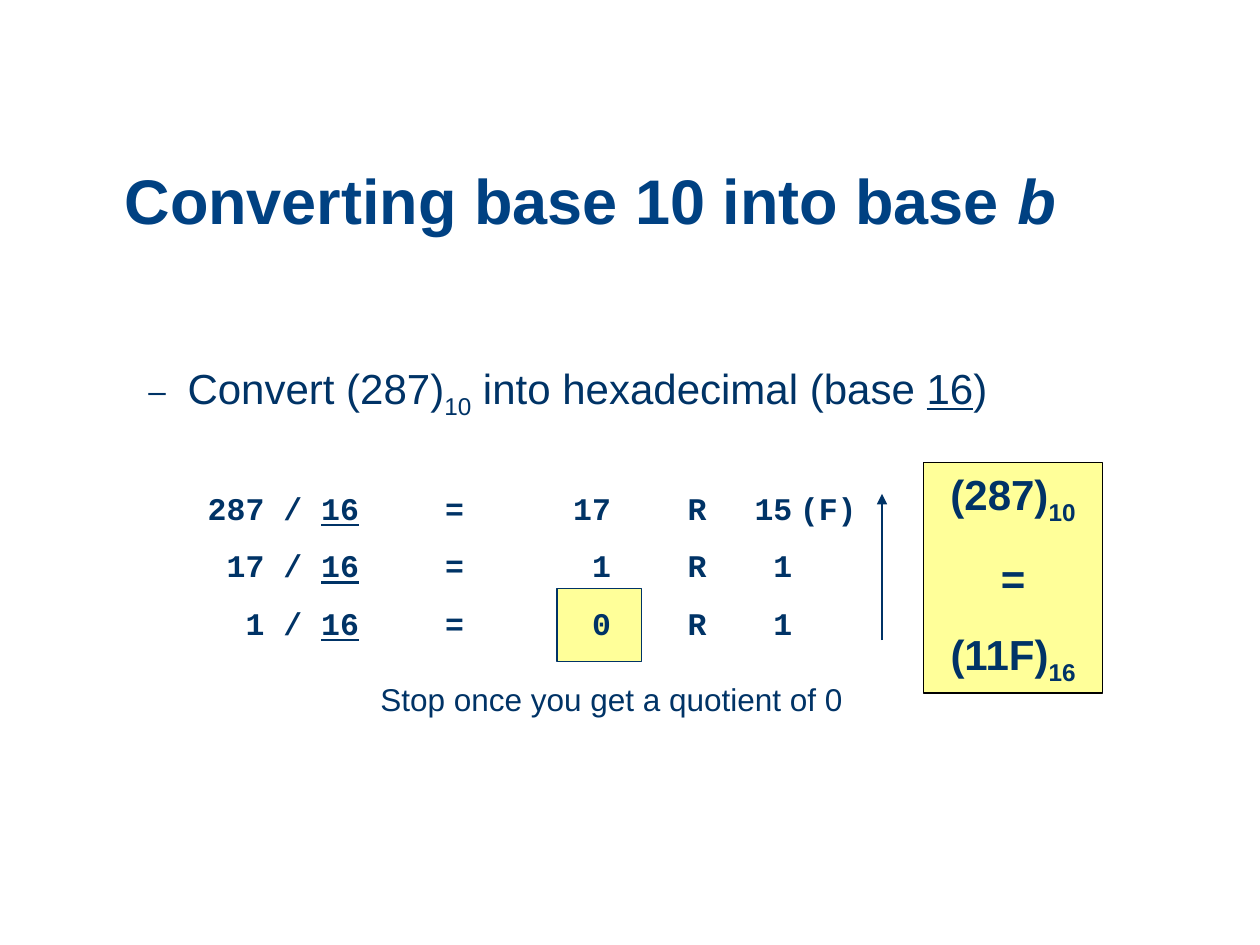
from lxml.etree import SubElement
from pptx import Presentation
from pptx.dml.color import RGBColor
from pptx.enum.shapes import MSO_CONNECTOR, MSO_SHAPE
from pptx.enum.text import MSO_ANCHOR, PP_ALIGN
from pptx.oxml.ns import qn
from pptx.util import Inches, Pt

NAVY = RGBColor(0x00, 0x33, 0x66)
TITLE_BLUE = RGBColor(0x00, 0x41, 0x82)
YELLOW = RGBColor(0xFF, 0xFF, 0x99)
BLACK = RGBColor(0x00, 0x00, 0x00)

PLAIN, ITALIC, UNDERLINE, SUBSCRIPT = "plain", "italic", "underline", "subscript"
DIVISION_TABS = [(1.5, "r"), (2.26, "ctr"), (3.5, "r"), (4.26, "r"), (4.94, "r"), (5, "l")]
DIVISIONS = [("287", "17", "15\t(F)"), ("17", "1", "1"), ("1", "0", "1")]


def add_spans(para, spans, size, color=NAVY, font="Arial", bold=False):
    """Add (text, style) spans that share one base format."""
    for text, style in spans:
        span = para.add_run()
        span.text = text
        span.font.name = font
        span.font.size = Pt(size)
        span.font.color.rgb = color
        span.font.bold = bold
        if style == ITALIC:
            span.font.italic = True
        elif style == UNDERLINE:
            span.font.underline = True
        elif style == SUBSCRIPT:
            span.font._element.set("baseline", "-25000")


def fill_text(frame, lines, space_before=0, align=PP_ALIGN.LEFT, **text_format):
    """Write one paragraph for each list of spans and return the paragraphs."""
    frame.word_wrap = True
    for index, spans in enumerate(lines):
        para = frame.add_paragraph() if index else frame.paragraphs[0]
        para.alignment = align
        para.space_before = Pt(space_before)
        add_spans(para, spans, **text_format)
    return frame.paragraphs


def add_text(slide, left, top, width, height, lines, **text_format):
    box = slide.shapes.add_textbox(Inches(left), Inches(top), Inches(width), Inches(height))
    fill_text(box.text_frame, lines, **text_format)
    return box


def add_yellow_box(slide, left, top, width, height, line_color):
    box = slide.shapes.add_shape(
        MSO_SHAPE.RECTANGLE, Inches(left), Inches(top), Inches(width), Inches(height)
    )
    box.shadow.inherit = False
    box.fill.solid()
    box.fill.fore_color.rgb = YELLOW
    box.line.color.rgb = line_color
    box.line.width = Pt(0.75)
    return box


def add_arrow(slide, x, bottom, top):
    arrow = slide.shapes.add_connector(
        MSO_CONNECTOR.STRAIGHT, Inches(x), Inches(bottom), Inches(x), Inches(top)
    )
    arrow.line.color.rgb = NAVY
    arrow.line.width = Pt(0.75)
    SubElement(arrow.line._get_or_add_ln(), qn("a:tailEnd"), type="triangle")
    SubElement(arrow._element.spPr, qn("a:effectLst"))


def set_dash_bullet(para):
    properties = para._p.get_or_add_pPr()
    properties.set("marL", str(Inches(0.81)))
    properties.set("indent", str(Inches(-0.31)))
    color = SubElement(properties, qn("a:buClr"))
    SubElement(color, qn("a:srgbClr"), val=str(NAVY))
    SubElement(properties, qn("a:buSzPct"), val="75000")
    SubElement(properties, qn("a:buFont"), typeface="Arial")
    SubElement(properties, qn("a:buChar"), char="–")


def set_tabs(para, tabs):
    tab_list = SubElement(para._p.get_or_add_pPr(), qn("a:tabLst"))
    for position, align in tabs:
        SubElement(tab_list, qn("a:tab"), pos=str(Inches(position)), algn=align)


def add_divisions(slide):
    lines = [
        [(f"\t{number} / ", PLAIN), ("16", UNDERLINE), (f"\t=\t{quotient}\tR\t{rest}", PLAIN)]
        for number, quotient, rest in DIVISIONS
    ]
    box = add_text(slide, 1.25, 3.83, 5.75, 1.32, lines,
                   space_before=11.2, size=18, font="Courier New", bold=True)
    for para in box.text_frame.paragraphs:
        set_tabs(para, DIVISION_TABS)


def add_result(slide):
    box = add_yellow_box(slide, 7.33, 3.67, 1.42, 1.83, BLACK)
    box.text_frame.vertical_anchor = MSO_ANCHOR.TOP
    lines = [
        [("(287)", PLAIN), ("10", SUBSCRIPT)],
        [("=", PLAIN)],
        [("(11F)", PLAIN), ("16", SUBSCRIPT)],
    ]
    fill_text(box.text_frame, lines, space_before=15, align=PP_ALIGN.CENTER, size=24, bold=True)


def main():
    deck = Presentation()
    deck.slide_width, deck.slide_height = Inches(10), Inches(7.5)
    slide = deck.slides.add_slide(deck.slide_layouts[6])

    add_yellow_box(slide, 4.42, 4.67, 0.67, 0.58, NAVY)

    title = add_text(slide, 0.89, 1.14, 8.55, 0.8,
                     [[("Converting base 10 into base ", PLAIN), ("b", ITALIC)]],
                     size=36, color=TITLE_BLUE, bold=True)
    title.text_frame.vertical_anchor = MSO_ANCHOR.BOTTOM
    title.text_frame.paragraphs[0].line_spacing = 0.9

    task = [("Convert (287)", PLAIN), ("10", SUBSCRIPT), (" into hexadecimal (base ", PLAIN),
            ("16", UNDERLINE), (")", PLAIN)]
    body = add_text(slide, 0.58, 2.83, 9.08, 0.83, [task], space_before=6, size=24)
    set_dash_bullet(body.text_frame.paragraphs[0])

    add_divisions(slide)
    add_arrow(slide, 7, 5.08, 3.92)
    add_result(slide)
    add_text(slide, 2.92, 5.35, 3.92, 0.4, [[("Stop once you get a quotient of 0", PLAIN)]],
             space_before=11.2, size=18)

    deck.save("out.pptx")


if __name__ == "__main__":
    main()
